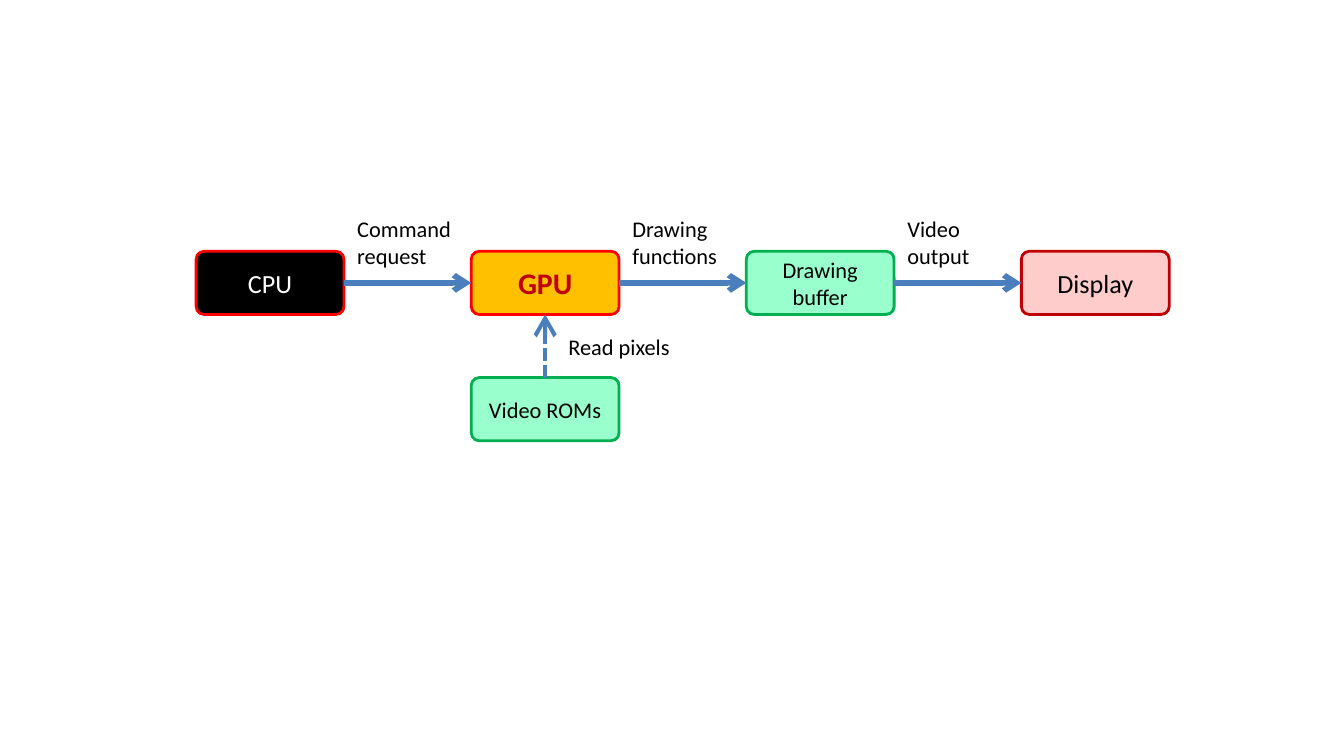
from lxml import etree
from pptx import Presentation
from pptx.dml.color import RGBColor
from pptx.enum.dml import MSO_LINE
from pptx.enum.shapes import MSO_CONNECTOR, MSO_SHAPE
from pptx.enum.text import MSO_ANCHOR, MSO_AUTO_SIZE, PP_ALIGN
from pptx.oxml.ns import qn
from pptx.util import Inches, Pt

ROUNDED = MSO_SHAPE.ROUNDED_RECTANGLE
STRAIGHT = MSO_CONNECTOR.STRAIGHT
MIDDLE = MSO_ANCHOR.MIDDLE
CENTER, LEFT = PP_ALIGN.CENTER, PP_ALIGN.LEFT
FIT_TEXT = MSO_AUTO_SIZE.SHAPE_TO_FIT_TEXT
SHORT_DASH = MSO_LINE.SQUARE_DOT
TOP_SITE, LEFT_SITE, BOTTOM_SITE, RIGHT_SITE = range(4)

BLANK_LAYOUT = 6
SLIDE_WIDTH = 10
FONT = "Calibri"
BLACK, WHITE, RED, DARK_RED = "000000", "FFFFFF", "FF0000", "C00000"
AMBER, MINT, GREEN, PINK, BLUE = "FFC000", "99FFCC", "00B050", "FFCCCC", "4B7EBC"

BOX_WIDTH, BOX_HEIGHT = 1.1, 0.47
FIRST_LEFT, LAST_LEFT = 1.46, 7.6
PIPELINE_TOP, MEMORY_TOP = 1.87, 2.81
LABEL_TOP = 1.55

# text, fill, outline, text colour, size, bold
STAGES = [
    ("CPU", BLACK, RED, WHITE, 14, False),
    ("GPU", AMBER, RED, DARK_RED, 16, True),
    ("Drawing buffer", MINT, GREEN, BLACK, 12, False),
    ("Display", PINK, DARK_RED, BLACK, 14, False),
]
# text and width of the label above each arrow
TRANSFERS = [("Command request", 1.1), ("Drawing functions", 1.1), ("Video output", 0.79)]


def rgb(value):
    """Turn a hex string into a colour."""
    return RGBColor.from_string(value)


def write_text(frame, text, color, size, bold=False, align=LEFT):
    """Put one formatted paragraph into a text frame."""
    frame.word_wrap = True
    frame.text = text
    paragraph = frame.paragraphs[0]
    paragraph.alignment = align
    paragraph.font.name = FONT
    paragraph.font.size = Pt(size)
    paragraph.font.bold = bold
    paragraph.font.color.rgb = rgb(color)


def add_box(slide, left, top, text, fill, outline, color, size, bold=False):
    """Add a rounded box with centred text."""
    box = slide.shapes.add_shape(
        ROUNDED, Inches(left), Inches(top), Inches(BOX_WIDTH), Inches(BOX_HEIGHT))
    box.adjustments[0] = 0.125
    box.shadow.inherit = False
    box.fill.solid()
    box.fill.fore_color.rgb = rgb(fill)
    box.line.color.rgb = rgb(outline)
    box.line.width = Pt(1.5)
    box.text_frame.vertical_anchor = MIDDLE
    write_text(box.text_frame, text, color, size, bold, CENTER)
    return box


def add_label(slide, left, top, width, height, text):
    """Add a plain text label that grows with its text."""
    label = slide.shapes.add_textbox(
        Inches(left), Inches(top), Inches(width), Inches(height))
    write_text(label.text_frame, text, BLACK, 12)
    label.text_frame.auto_size = FIT_TEXT


def add_arrow(slide, source, source_site, target, target_site, width,
              dash=None, head="med"):
    """Connect two boxes with an open arrow."""
    arrow = slide.shapes.add_connector(STRAIGHT, 0, 0, 0, 0)
    arrow.begin_connect(source, source_site)
    arrow.end_connect(target, target_site)
    arrow.line.color.rgb = rgb(BLUE)
    arrow.line.width = Pt(width)
    if dash is not None:
        arrow.line.dash_style = dash
    properties = arrow.line._get_or_add_ln()
    etree.SubElement(properties, qn("a:tailEnd"), type="arrow", w=head, len=head)
    etree.SubElement(properties.getparent(), qn("a:effectLst"))


def main():
    """Build the graphics pipeline diagram."""
    deck = Presentation()
    deck.slide_width = Inches(SLIDE_WIDTH)
    deck.slide_height = Inches(SLIDE_WIDTH * 9 / 16)
    slide = deck.slides.add_slide(deck.slide_layouts[BLANK_LAYOUT])

    pitch = (LAST_LEFT - FIRST_LEFT) / (len(STAGES) - 1)
    lefts = [FIRST_LEFT + pitch * i for i in range(len(STAGES))]
    stages = [add_box(slide, left, PIPELINE_TOP, *stage)
              for left, stage in zip(lefts, STAGES)]

    for i, (text, width) in enumerate(TRANSFERS):
        add_arrow(slide, stages[i], RIGHT_SITE, stages[i + 1], LEFT_SITE, 3)
        add_label(slide, lefts[i] + BOX_WIDTH, LABEL_TOP, width, 0.5, text)

    video_roms = add_box(slide, lefts[1], MEMORY_TOP, "Video ROMs", MINT, GREEN, BLACK, 12)
    add_arrow(slide, video_roms, TOP_SITE, stages[1], BOTTOM_SITE, 2.25, SHORT_DASH, "lg")
    add_label(slide, 4.13, 2.43, 1.02, 0.3, "Read pixels")

    deck.save("out.pptx")


main()
